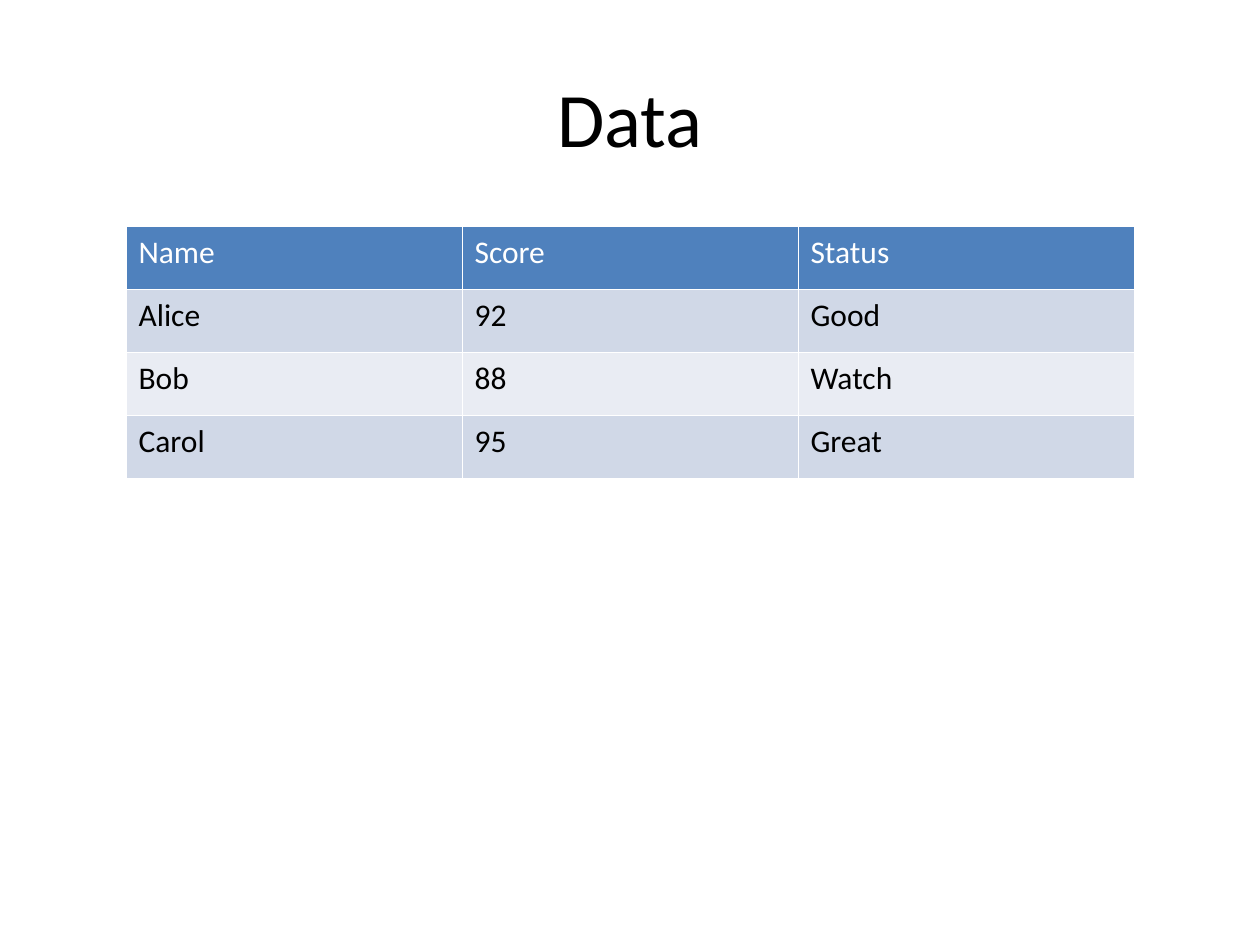
from lxml.etree import SubElement
from pptx import Presentation
from pptx.dml.color import RGBColor
from pptx.enum.text import MSO_ANCHOR, PP_ALIGN
from pptx.oxml.ns import qn
from pptx.util import Pt


def rgb(code):
    return RGBColor.from_string(code)


class Deck:
    font = "Calibri"
    ink = "000000"
    white = "FFFFFF"
    head = "4F81BD"
    bands = ("D0D8E7", "E9ECF3")
    rule = 0.45

    def __init__(self, wide, high):
        self.deck = Presentation()
        self.deck.slide_width = Pt(wide)
        self.deck.slide_height = Pt(high)
        # Layout 5 holds only a title
        self.slide = self.deck.slides.add_slide(self.deck.slide_layouts[5])

    def text(self, para, words, size, color):
        run = para.add_run()
        run.text = words
        run.font.name = self.font
        run.font.size = Pt(size)
        run.font.bold = False
        run.font.color.rgb = rgb(color)

    def title(self, words, left, top, wide, high):
        box = self.slide.shapes.title
        box.left, box.top = Pt(left), Pt(top)
        box.width, box.height = Pt(wide), Pt(high)
        frame = box.text_frame
        frame.vertical_anchor = MSO_ANCHOR.MIDDLE
        para = frame.paragraphs[0]
        para.alignment = PP_ALIGN.CENTER
        self.text(para, words, 44, self.ink)

    def border(self, cell):
        props = cell._tc.get_or_add_tcPr()
        for side in ("lnL", "lnR", "lnT", "lnB"):
            line = SubElement(props, qn("a:" + side), w=str(int(Pt(self.rule))))
            fill = SubElement(line, qn("a:solidFill"))
            SubElement(fill, qn("a:srgbClr"), val=self.white)

    def cell(self, cell, words, color, fill):
        self.border(cell)
        cell.fill.solid()
        cell.fill.fore_color.rgb = rgb(fill)
        para = cell.text_frame.paragraphs[0]
        para.line_spacing = 1.02
        self.text(para, words, 18, color)

    def table(self, rows, left, top, wide, high):
        grid = self.slide.shapes.add_table(
            len(rows), len(rows[0]), Pt(left), Pt(top), Pt(wide), Pt(high)
        ).table
        for r, row in enumerate(rows):
            # Header first, then alternating bands
            color = self.ink if r else self.white
            fill = self.bands[(r - 1) % 2] if r else self.head
            for c, words in enumerate(row):
                self.cell(grid.cell(r, c), words, color, fill)


def main():
    page = Deck(720, 540)

    # Heading
    page.title("Data", 36, 21.6, 648, 90)

    # Score table
    scores = [
        ("Name", "Score", "Status"),
        ("Alice", "92", "Good"),
        ("Bob", "88", "Watch"),
        ("Carol", "95", "Great"),
    ]
    page.table(scores, 72, 129.6, 576, 144)

    page.deck.save("out.pptx")


if __name__ == "__main__":
    main()
